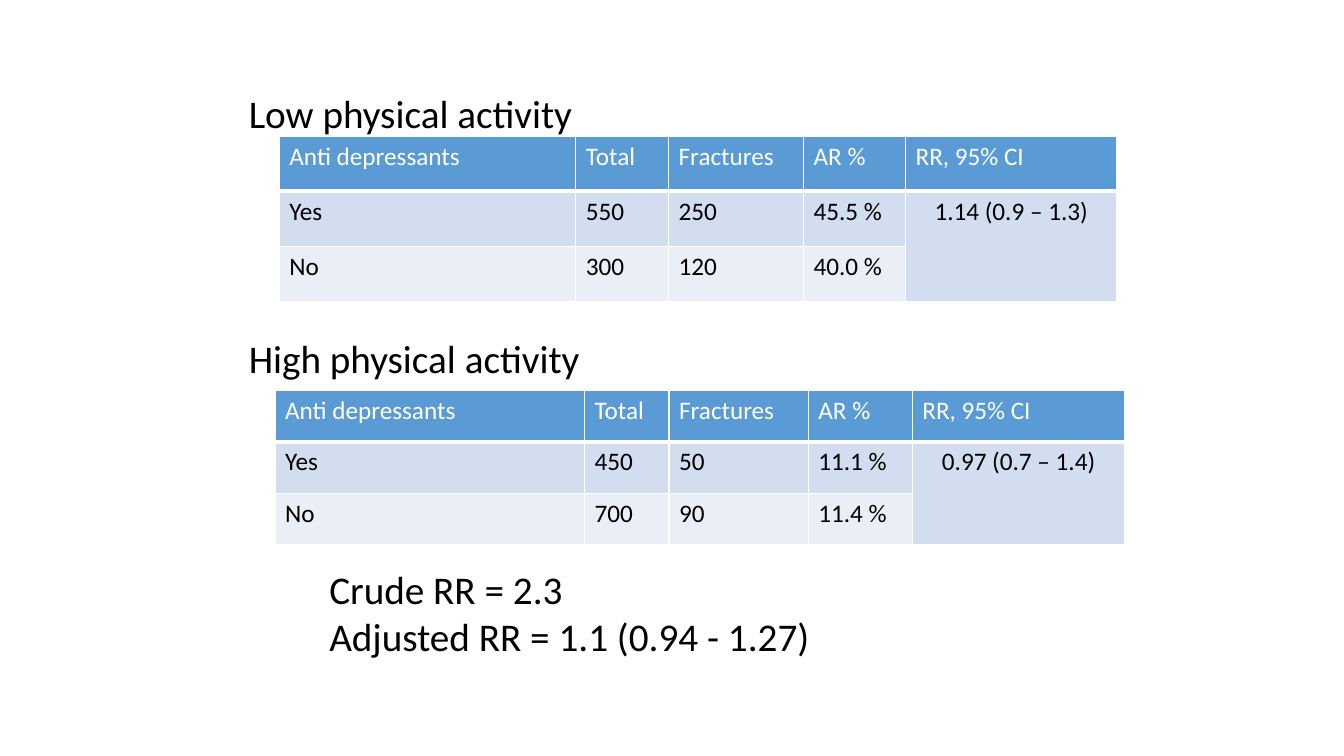
"""Build a slide comparing fracture risk by antidepressant use and physical activity."""
from lxml.etree import SubElement
from pptx import Presentation
from pptx.dml.color import RGBColor
from pptx.enum.text import PP_ALIGN as Align
from pptx.oxml.ns import qn
from pptx.util import Cm, Pt

WHITE = RGBColor(0xFF, 0xFF, 0xFF)
BLACK = RGBColor(0x00, 0x00, 0x00)
HEADER_BLUE = RGBColor(0x5B, 0x9B, 0xD5)
BAND_DARK = RGBColor(0xD2, 0xDE, 0xEF)
BAND_LIGHT = RGBColor(0xEA, 0xEF, 0xF7)

HEADING_FORMAT = {"name": "Calibri", "size": Pt(28)}
CELL_FORMAT = {"name": "Calibri", "size": Pt(18), "bold": False}
HEADER = ["Anti depressants", "Total", "Fractures", "AR %", "RR, 95% CI"]
ROW_FILLS = [HEADER_BLUE, BAND_DARK, BAND_LIGHT]


def format_text(paragraph, text_format, color):
    for attribute, value in text_format.items():
        setattr(paragraph.font, attribute, value)
    paragraph.font.color.rgb = color


def add_border(cell, side, width):
    line = SubElement(cell._tc.get_or_add_tcPr(), qn(f"a:ln{side}"), w=str(Pt(width)))
    fill = SubElement(line, qn("a:solidFill"))
    SubElement(fill, qn("a:srgbClr"), val=str(WHITE))


presentation = Presentation()
presentation.slide_width = Cm(33.87)
presentation.slide_height = Cm(19.05)
slide = presentation.slides.add_slide(presentation.slide_layouts[6])

activity_groups = [
    (7.04, 3.43, 1.39, [7.47, 2.34, 3.4, 2.57, 5.33],
     [["Yes", "550", "250", "45.5 %", "1.14 (0.9 – 1.3)"],
      ["No", "300", "120", "40.0 %", ""]]),
    (6.93, 9.83, 1.3, [7.8, 2.13, 3.51, 2.62, 5.36],
     [["Yes", "450", "50", "11.1 %", "0.97 (0.7 – 1.4)"],
      ["No", "700", "90", "11.4 %", ""]]),
]

for left, top, row_height, column_widths, results in activity_groups:
    rows = [HEADER, *results]
    risks = slide.shapes.add_table(
        len(rows), len(HEADER), Cm(left), Cm(top),
        Cm(sum(column_widths)), Cm(row_height * len(rows))).table
    for column, width in zip(risks.columns, column_widths):
        column.width = Cm(width)
    for row_index, values in enumerate(rows):
        risks.rows[row_index].height = Cm(row_height)
        is_header = row_index == 0
        for column_index, value in enumerate(values):
            cell = risks.cell(row_index, column_index)
            for side in "LRTB":
                add_border(cell, side, 3 if is_header and side == "B" else 1)
            cell.fill.solid()
            cell.fill.fore_color.rgb = ROW_FILLS[row_index]
            cell.text = value
            format_text(cell.text_frame.paragraphs[0], CELL_FORMAT,
                        WHITE if is_header else BLACK)
    relative_risk = risks.cell(1, 4)
    relative_risk.merge(risks.cell(2, 4))
    relative_risk.text_frame.paragraphs[0].alignment = Align.CENTER

statements = [
    (6.02, 2.13, 10.52, 1.45, ["Low physical activity"]),
    (6.02, 8.31, 10.52, 1.45, ["High physical activity"]),
    (8.05, 14.12, 18.01, 3.43, ["Crude RR = 2.3", "Adjusted RR = 1.1 (0.94 - 1.27)"]),
]

for left, top, width, height, lines in statements:
    statement = slide.shapes.add_textbox(Cm(left), Cm(top), Cm(width), Cm(height)).text_frame
    statement.word_wrap = True
    statement.text = "\n".join(lines)
    for paragraph in statement.paragraphs:
        format_text(paragraph, HEADING_FORMAT, BLACK)

presentation.save("out.pptx")
